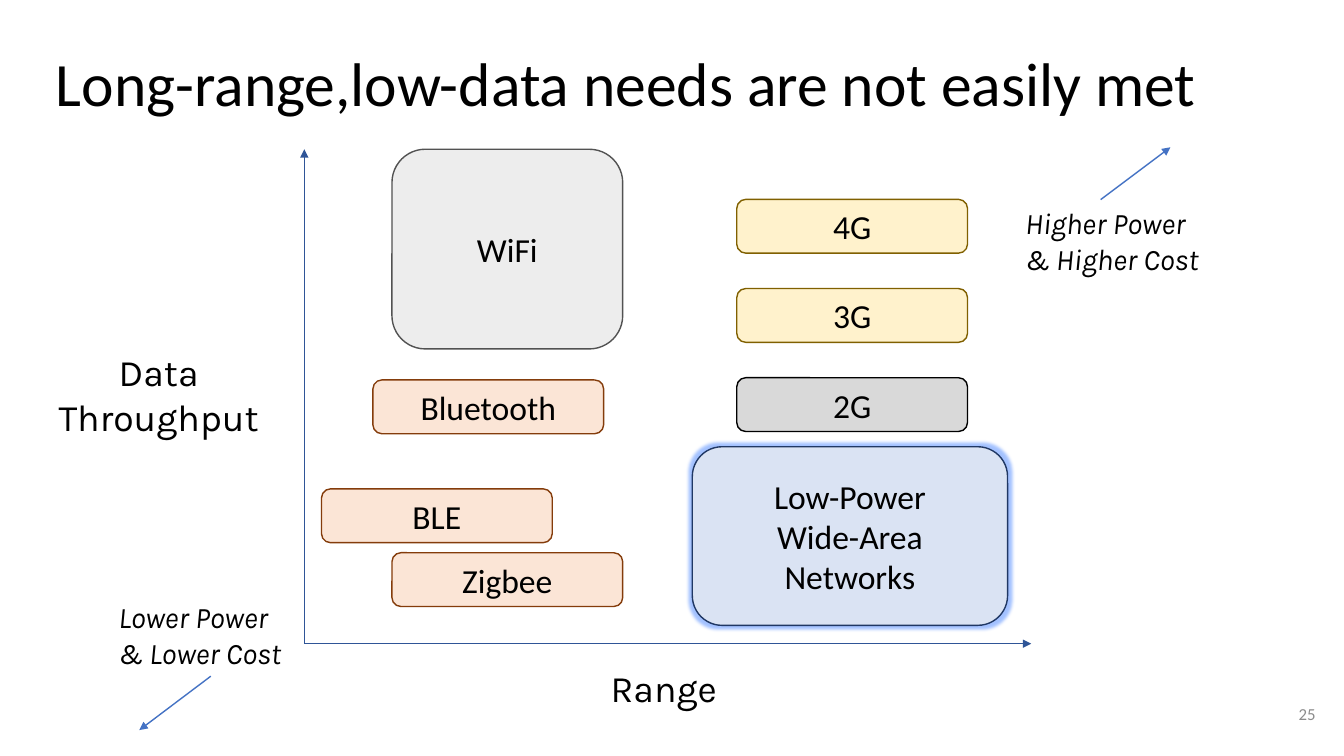
import pptx
import pptx.util
import pptx.oxml
import pptx.oxml.ns
from pptx.dml.color import RGBColor
from pptx.enum.shapes import MSO_CONNECTOR, MSO_SHAPE
from pptx.enum.text import MSO_ANCHOR, MSO_AUTO_SIZE, PP_ALIGN

Pt = pptx.util.Pt

# Content
TITLE = "Long-range,low-data needs are not easily met"
PAGE = "25"
COLORS = {"text": "000000", "page": "8C8C8C", "axis": "2F5597",
          "arrow": "4472C4", "glow": "6699FF"}
STYLES = {  # fill, outline
    "short": ("FBE5D6", "843C0B"),
    "wifi": ("EDEDED", "525252"),
    "cellular": ("FFF2CC", "806000"),
    "legacy": ("D9D9D9", "000000"),
    "lpwan": ("DAE3F3", "203864"),
}
BAR_W, BAR_H = 164.8, 38.4
CELL_X, CELL_TOP, CELL_STEP = 526.3, 142.4, 63.7
CELLULAR = [("4G", "cellular"), ("3G", "cellular"), ("2G", "legacy")]
NETWORKS = [  # label, style, left, top, width, height
    ("Bluetooth", "short", 266.4, 271.4, BAR_W, BAR_H),
    ("WiFi", "wifi", 280, 106.6, BAR_W, 142.6),
    ("BLE", "short", 229.7, 349.2, BAR_W, BAR_H),
    ("Zigbee", "short", 280, 394.8, BAR_W, BAR_H),
    ("Low-Power\vWide-Area Networks", "lpwan", 494.5, 319.1, 225.2, 127.6),
]
NETWORKS += [(label, style, CELL_X, CELL_TOP + i * CELL_STEP, BAR_W, BAR_H)
             for i, (label, style) in enumerate(CELLULAR)]

AXIS_FONT = {"name": "Karla", "size": Pt(26.7)}
NOTE_FONT = {"name": "Karla", "size": Pt(21.3), "italic": True}
LABELS = [  # text, left, top, width, height, alignment, font
    ("Data\nThroughput", 32.4, 246.2, 162, 72, PP_ALIGN.CENTER, AXIS_FONT),
    ("Range", 401.8, 471.6, 144.7, 39.6, PP_ALIGN.CENTER, AXIS_FONT),
    ("Lower Power\v& Lower Cost", 77.4, 424, 146.4, 59, PP_ALIGN.LEFT, NOTE_FONT),
    ("Higher Power\v& Higher Cost", 725.2, 142.6, 155.5, 59, PP_ALIGN.LEFT, NOTE_FONT),
]
ORIGIN = (217.4, 459.8)
ARROWS = [  # start, end, colour, label joined at its bottom
    (ORIGIN, (ORIGIN[0], 106.6), "axis", None),
    (ORIGIN, (736.6, ORIGIN[1]), "axis", None),
    ((150.6, 483), (99.5, 521.5), "arrow", "Lower Power\v& Lower Cost"),
    ((786.2, 142.6), (836, 105.2), "arrow", None),
]


def rgb(value):
    return RGBColor.from_string(value)


def write(shape, text, align, font, color="text", **frame):
    tf = shape.text_frame
    tf.text = text
    tf.word_wrap = True
    for name, value in frame.items():
        setattr(tf, name, value)
    for p in tf.paragraphs:
        p.alignment = align
        for r in p.runs:
            for name, value in font.items():
                setattr(r.font, name, value)
            r.font.color.rgb = rgb(COLORS[color])
    return tf


def add_effect(parent, tag, **attributes):
    element = pptx.oxml.parse_xml(
        f"<a:{tag} {pptx.oxml.ns.nsdecls('a')}/>")
    for name, value in attributes.items():
        element.set(name, value)
    parent.append(element)
    return element


prs = pptx.Presentation()
prs.slide_width, prs.slide_height = Pt(960), Pt(540)
s = prs.slides.add_slide(prs.slide_layouts[5])

# Title and page number
title = s.shapes.title
title.left, title.top, title.width, title.height = map(Pt, (32.6, 31.5, 894.2, 60.5))
tf = write(title, TITLE, PP_ALIGN.LEFT, {"name": "Calibri", "size": Pt(44)},
           vertical_anchor=MSO_ANCHOR.MIDDLE, auto_size=MSO_AUTO_SIZE.NONE)
tf.paragraphs[0].line_spacing = 0.9
page = s.shapes.add_textbox(*map(Pt, (889.2, 489.6, 57.6, 41)))
write(page, PAGE, PP_ALIGN.RIGHT, {"name": "Calibri", "size": Pt(12)}, "page",
      vertical_anchor=MSO_ANCHOR.MIDDLE)

# Network boxes
for label, style, *box in NETWORKS:
    sp = s.shapes.add_shape(MSO_SHAPE.ROUNDED_RECTANGLE, *map(Pt, box))
    sp.shadow.inherit = False
    fill, outline = STYLES[style]
    sp.fill.solid()
    sp.fill.fore_color.rgb = rgb(fill)
    sp.line.color.rgb = rgb(outline)
    sp.line.width = Pt(1)
    write(sp, label, PP_ALIGN.CENTER, {"name": "Calibri", "size": Pt(24)},
          vertical_anchor=MSO_ANCHOR.MIDDLE, margin_left=Pt(12), margin_right=Pt(12))
    if style == "lpwan":
        effects = sp._element.spPr.find(pptx.oxml.ns.qn("a:effectLst"))
        glow = add_effect(effects, "glow", rad=str(Pt(5)))
        color = add_effect(glow, "srgbClr", val=COLORS["glow"])
        add_effect(color, "alpha", val="60000")

# Axis labels and notes
labels = {}
for text, *box, align, font in LABELS:
    labels[text] = s.shapes.add_textbox(*map(Pt, box))
    write(labels[text], text, align, font, auto_size=MSO_AUTO_SIZE.SHAPE_TO_FIT_TEXT)

# Axes and direction arrows
for start, end, color, joined in ARROWS:
    line = s.shapes.add_connector(MSO_CONNECTOR.STRAIGHT, *map(Pt, start + end))
    if joined:
        line.begin_connect(labels[joined], 2)
    line.line.color.rgb = rgb(COLORS[color])
    line.line.width = Pt(1)
    add_effect(line.line._get_or_add_ln(), "tailEnd", type="triangle")
    add_effect(line._element.spPr, "effectLst")

prs.save("out.pptx")
